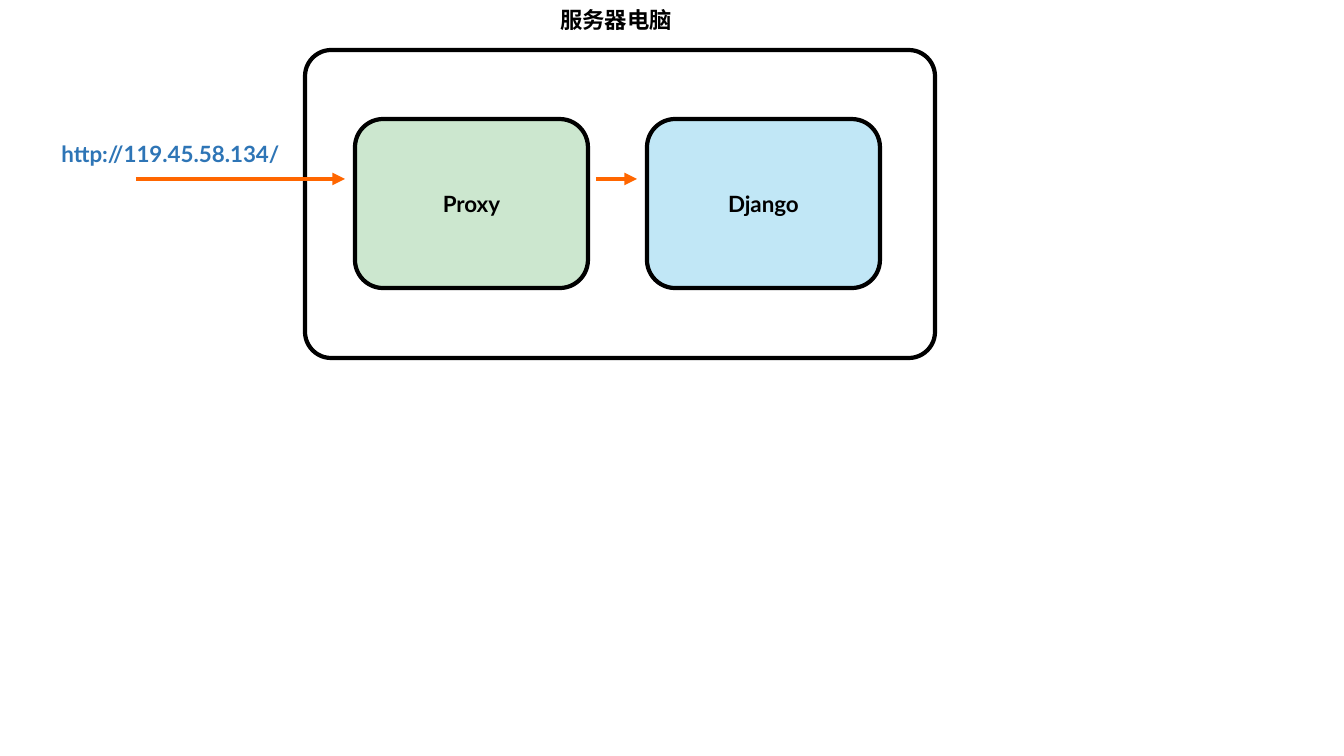
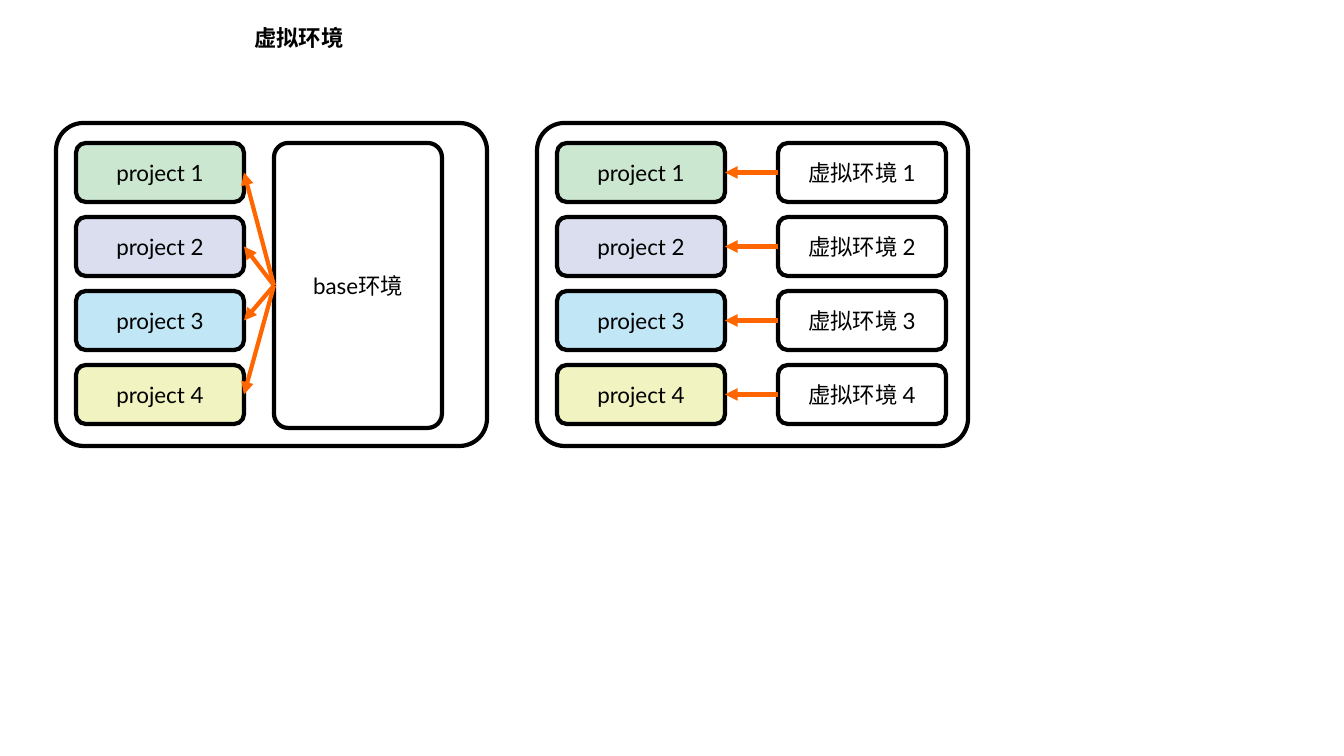
from lxml import etree
from pptx import Presentation
from pptx.dml.color import RGBColor
from pptx.enum.shapes import MSO_CONNECTOR, MSO_SHAPE
from pptx.enum.text import MSO_ANCHOR, PP_ALIGN
from pptx.oxml.ns import qn
from pptx.util import Emu, Pt

# Shared style
SCALE = 914400 / 100.8
FONT = "Lato"
TEXT_SIZE = Pt(16)
LINE_WIDTH = Pt(3)
PANEL_ROUNDING = 0.085
BOX_ROUNDING = 0.16667

BLACK = RGBColor(0x00, 0x00, 0x00)
ORANGE = RGBColor(0xFF, 0x66, 0x00)
LINK_BLUE = RGBColor(0x2E, 0x75, 0xB6)
GREEN = RGBColor(0xCC, 0xE7, 0xCF)
LAVENDER = RGBColor(0xDA, 0xDE, 0xEE)
SKY = RGBColor(0xC1, 0xE7, 0xF6)
YELLOW = RGBColor(0xF1, 0xF3, 0xC0)
PROJECT_FILLS = [GREEN, LAVENDER, SKY, YELLOW]

# Rows of small boxes
BOX_W, BOX_H = 168, 59
FIRST_ROW, ROW_PITCH = 143, 74
ROW_TOPS = [FIRST_ROW + i * ROW_PITCH for i in range(len(PROJECT_FILLS))]


def px(value):
    return Emu(round(value * SCALE))


def write(shape, text, color=BLACK, bold=False):
    frame = shape.text_frame
    frame.word_wrap = True
    frame.vertical_anchor = MSO_ANCHOR.MIDDLE
    paragraph = frame.paragraphs[0]
    paragraph.alignment = PP_ALIGN.CENTER
    run = paragraph.add_run()
    run.text = text
    run.font.name = FONT
    run.font.size = TEXT_SIZE
    run.font.bold = bold
    run.font.color.rgb = color


def add_label(slide, text, x, y, width=168, color=BLACK):
    label = slide.shapes.add_textbox(px(x), px(y), px(width), px(39))
    frame = label.text_frame
    frame.margin_left = frame.margin_right = 0
    frame.margin_top = frame.margin_bottom = 0
    write(label, text, color, bold=True)


def add_box(slide, x, y, width, height, text="", fill=None, bold=False,
            rounding=BOX_ROUNDING):
    box = slide.shapes.add_shape(MSO_SHAPE.ROUNDED_RECTANGLE,
                                 px(x), px(y), px(width), px(height))
    box.adjustments[0] = rounding
    box.shadow.inherit = False
    box.line.color.rgb = BLACK
    box.line.width = LINE_WIDTH
    if fill is None:
        box.fill.background()
    else:
        box.fill.solid()
        box.fill.fore_color.rgb = fill
    if text:
        write(box, text, bold=bold)


def add_arrow(slide, x1, y1, x2, y2):
    arrow = slide.shapes.add_connector(MSO_CONNECTOR.STRAIGHT,
                                       px(x1), px(y1), px(x2), px(y2))
    arrow.line.color.rgb = ORANGE
    arrow.line.width = LINE_WIDTH
    properties = arrow.line._get_or_add_ln()
    etree.SubElement(properties, qn("a:tailEnd"), type="triangle")
    etree.SubElement(properties.getparent(), qn("a:effectLst"))


def add_project_panel(slide, x):
    """Draw a panel with its projects and return the projects' right edge."""
    add_box(slide, x, 123, 431, 323, rounding=PANEL_ROUNDING)
    left = x + 20
    for number, (top, fill) in enumerate(zip(ROW_TOPS, PROJECT_FILLS), 1):
        add_box(slide, left, top, BOX_W, BOX_H, f"project {number}", fill)
    return left + BOX_W


def build_server(slide):
    add_box(slide, 305, 50, 630, 308, rounding=PANEL_ROUNDING)
    add_label(slide, "服务器电脑", 532, 0)
    for x, name, fill in [(355, "Proxy", GREEN), (647, "Django", SKY)]:
        add_box(slide, x, 119, 233, 169, name, fill, bold=True)

    # Request path
    for start, end in [(136, 345), (596, 637)]:
        add_arrow(slide, start, 179, end, 179)
    add_label(slide, "http://119.45.58.134/", 27, 134, 287, LINK_BLUE)


def build_environments(slide):
    add_label(slide, "虚拟环境", 215, 18)

    # One base environment for all projects
    base_x, base_h = 274, 285
    projects_right = add_project_panel(slide, 56)
    add_box(slide, base_x, FIRST_ROW, BOX_W, base_h, "base环境",
            rounding=PANEL_ROUNDING)
    for top in ROW_TOPS:
        add_arrow(slide, base_x, FIRST_ROW + base_h / 2,
                  projects_right, top + BOX_H / 2)

    # One virtual environment per project
    env_x = 778
    projects_right = add_project_panel(slide, 537)
    for number, top in enumerate(ROW_TOPS, 1):
        add_box(slide, env_x, top, BOX_W, BOX_H, f"虚拟环境 {number}")
        middle = top + BOX_H / 2
        add_arrow(slide, env_x, middle, projects_right, middle)


def main():
    deck = Presentation()
    deck.slide_width, deck.slide_height = px(1344), px(756)
    blank = deck.slide_layouts[6]
    for build in (build_server, build_environments):
        build(deck.slides.add_slide(blank))
    deck.save("out.pptx")


main()
